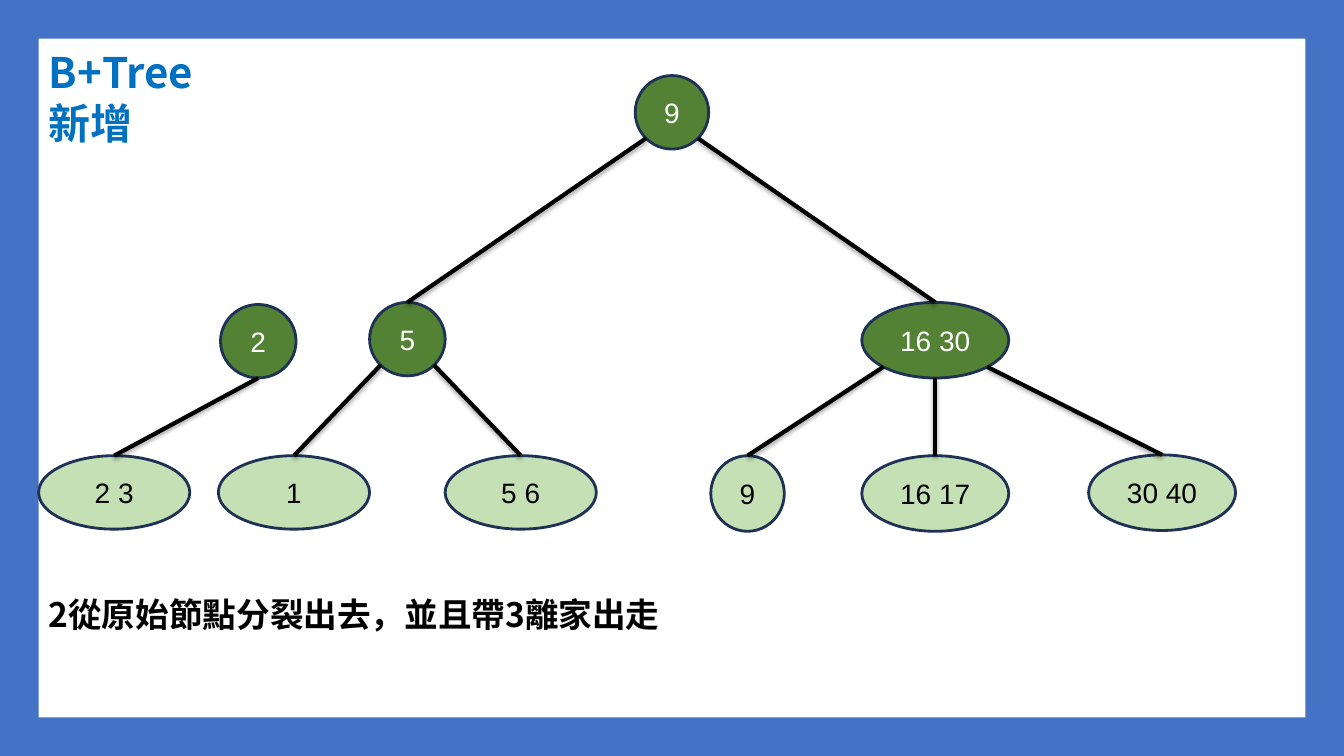
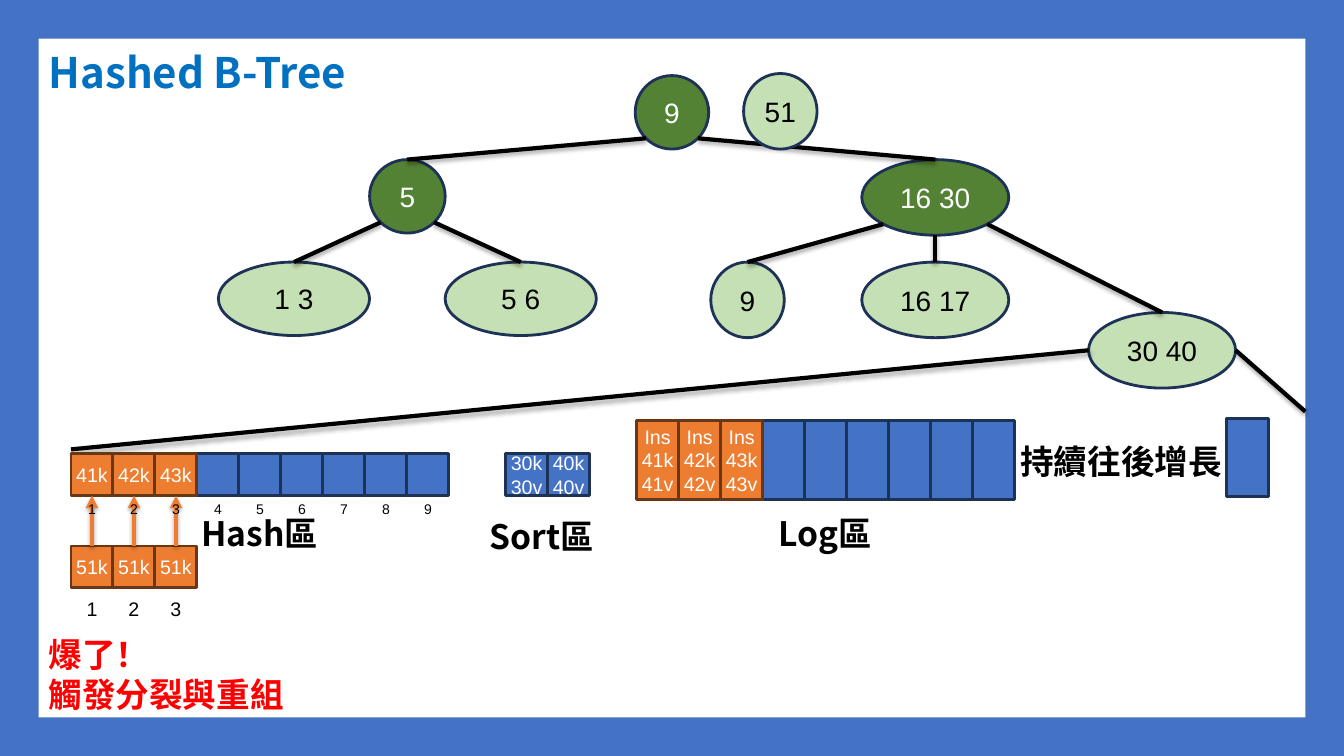
from lxml.etree import SubElement
from pptx import Presentation
from pptx.dml.color import RGBColor
from pptx.enum.shapes import MSO_CONNECTOR as Connector, MSO_SHAPE as Preset
from pptx.enum.text import MSO_ANCHOR as Anchor, MSO_AUTO_SIZE as AutoSize, PP_ALIGN as Align
from pptx.oxml.ns import qn
from pptx.util import Inches, Pt

COLUMNS, ROWS = 32, 18
UNIT = Inches(7.5) // ROWS
BAND = 0.92
DIAGONAL = 0.3536
LATIN_FONT = "Arial"
CHINESE_FONT = "Noto Sans CJK TC"

BLUE = RGBColor(0x44, 0x72, 0xC4)
NAVY = RGBColor(0x1E, 0x32, 0x56)
TITLE_BLUE = RGBColor(0x00, 0x70, 0xC0)
DARK_GREEN = RGBColor(0x54, 0x82, 0x35)
LIGHT_GREEN = RGBColor(0xC5, 0xE0, 0xB4)
ORANGE = RGBColor(0xED, 0x7D, 0x31)
BROWN = RGBColor(0x68, 0x37, 0x15)
RED = RGBColor(0xFF, 0x00, 0x00)
WHITE = RGBColor(0xFF, 0xFF, 0xFF)
BLACK = RGBColor(0x00, 0x00, 0x00)


def grid(*lengths):
    return [round(length * UNIT) for length in lengths]


def write(shape, text, size=20, color=BLACK, font=LATIN_FONT, bold=False,
          align=Align.CENTER, anchor=Anchor.MIDDLE, wrap=False,
          margins=(0, 0), spacing=None):
    frame = shape.text_frame
    frame.auto_size = AutoSize.NONE
    frame.word_wrap = wrap
    frame.vertical_anchor = anchor
    frame.margin_left = frame.margin_right = Inches(margins[0])
    frame.margin_top = Inches(margins[1])
    frame.margin_bottom = 0
    for index, line in enumerate(text.split("\n")):
        paragraph = frame.add_paragraph() if index else frame.paragraphs[0]
        paragraph.alignment = align
        if spacing:
            paragraph.line_spacing = Pt(size * spacing)
        run = paragraph.add_run()
        run.text = line
        run.font.size = Pt(size)
        run.font.bold = bold
        run.font.name = font
        run.font.color.rgb = color
        SubElement(run.font._element, qn("a:ea"), typeface=font)


class Deck:
    def __init__(self):
        self.presentation = Presentation()
        self.presentation.slide_width = COLUMNS * UNIT
        self.presentation.slide_height = ROWS * UNIT
        self.slide = None

    def add_slide(self, title):
        first = self.slide is None
        self.slide = self.presentation.slides.add_slide(self.presentation.slide_layouts[5])
        if first:
            self.frame_master()
        placeholder = self.slide.shapes.title
        lines = title.count("\n") + 1
        placeholder.left, placeholder.top, placeholder.width, placeholder.height = grid(
            BAND, BAND, COLUMNS - 2 * BAND, 0.24 + 1.21 * lines)
        self.heading(placeholder, title, size=30, color=TITLE_BLUE)

    def frame_master(self):
        tree = self.presentation.slide_master.shapes.element
        for box in ((0, 0, COLUMNS, BAND), (0, ROWS - BAND, COLUMNS, BAND),
                    (0, 0, BAND, ROWS), (COLUMNS - BAND, 0, BAND, ROWS)):
            band = self.shape(Preset.RECTANGLE, box, BLUE)
            tree.insert(2, band.element)

    def shape(self, preset, box, fill, line=None):
        shape = self.slide.shapes.add_shape(preset, *grid(*box))
        shape.shadow.inherit = False
        shape.fill.solid()
        shape.fill.fore_color.rgb = fill
        if line is None:
            shape.line.fill.background()
        else:
            shape.line.color.rgb = line
            shape.line.width = Pt(2)
        return shape

    def heading(self, shape, text, size=24, color=BLACK, align=Align.LEFT):
        write(shape, text, size=size, color=color, font=CHINESE_FONT, bold=True, align=align,
              anchor=Anchor.TOP, wrap=True, margins=(0.1, 0.08), spacing=1.2)

    def caption(self, text, box, **style):
        self.heading(self.slide.shapes.add_textbox(*grid(*box)), text, **style)

    def label(self, text, left, top, **style):
        write(self.slide.shapes.add_textbox(*grid(left, top, 1, 1)), text, **style)

    def node(self, text, center, top, width=1.75, height=1.75, inner=False):
        fill, color = (DARK_GREEN, WHITE) if inner else (LIGHT_GREEN, BLACK)
        box = (center - width / 2, top, width, height)
        shape = self.shape(Preset.OVAL, box, fill, NAVY)
        write(shape, text, color=color)
        return shape

    def cell(self, text, left, top, height=1, fill=BLUE):
        line = BROWN if fill == ORANGE else NAVY
        shape = self.shape(Preset.RECTANGLE, (left, top, 1, height), fill, line)
        if text:
            write(shape, text, size=14, color=WHITE)
        return shape

    def cells(self, texts, left, top, height=1, count=9):
        for index in reversed(range(len(texts), count)):
            self.cell("", left + index, top, height)
        return [self.cell(text, left + index, top, height, ORANGE)
                for index, text in enumerate(texts)]

    def line(self, start, end, color=BLACK, arrow=False):
        connector = self.slide.shapes.add_connector(
            Connector.STRAIGHT, *[round(value) for value in (*start, *end)])
        connector.line.color.rgb = color
        connector.line.width = Pt(3)
        if arrow:
            SubElement(connector.line._get_or_add_ln(), qn("a:tailEnd"), type="triangle")
        effects = SubElement(connector.element.spPr, qn("a:effectLst"))
        shadow = SubElement(effects, qn("a:outerShdw"), blurRad="40000", dist="23000",
                            dir="5400000", rotWithShape="0")
        shade = SubElement(shadow, qn("a:srgbClr"), val=str(BLACK))
        SubElement(shade, qn("a:alpha"), val="35000")
        return connector

    def branch(self, parent, child, side=0):
        drop = DIAGONAL if side else 0.5
        start = (parent.left + parent.width * (0.5 + side * DIAGONAL),
                 parent.top + parent.height * (0.5 + drop))
        self.line(start, (child.left, child.top)).end_connect(child, 0)

    def tree(self, first_leaf, branch_top, leaf_top, last_top):
        root = self.node("9", 16, 1.8, inner=True)
        left = self.node("5", 9.7, branch_top, 1.8, inner=True)
        right = self.node("16 30", 22.27, branch_top, 3.5, 1.8, inner=True)
        leaves = [
            self.node(first_leaf, 7, leaf_top, 3.6),
            self.node("5 6", 12.4, leaf_top, 3.6),
            self.node("9", 17.8, leaf_top, height=1.8),
            self.node("16 17", 22.27, leaf_top, 3.5, 1.8),
            self.node("30 40", 27.67, last_top, 3.5, 1.8),
        ]
        parents = (left, left, right, right, right)
        for parent, child, side in ((root, left, -1), (root, right, 1),
                                    *zip(parents, leaves, (-1, 1, -1, 0, 1))):
            self.branch(parent, child, side)
        return leaves[-1]


def build_insertion(deck):
    deck.add_slide("B+Tree\n新增")
    deck.tree("1", 7.2, 10.85, 10.83)
    split_leaf = deck.node("2 3", 2.72, 10.85, 3.6)
    split_parent = deck.node("2", 6.15, 7.25, 1.8, inner=True)
    deck.branch(split_parent, split_leaf)
    deck.caption("2從原始節點分裂出去，並且帶3離家出走", (BAND, 13.95, 30.16, 1.2))


def build_hashed_tree(deck):
    hash_left, hash_top = 1.69, 10.8
    log_left, log_top, log_height = 15.16, 10.02, 1.87
    sort_left = 12.04
    overflow_top = 13

    deck.add_slide("Hashed B-Tree")
    leaf = deck.tree("1 3", 3.8, 6.24, 7.44)
    deck.node("51", 18.58, 1.75, height=1.8)
    middle = leaf.top + leaf.height / 2
    deck.line((leaf.left, middle), grid(hash_left, 10.7))
    deck.line((leaf.left + leaf.width, middle), grid(COLUMNS - BAND, 9.8))

    hash_cells = deck.cells(["41k", "42k", "43k"], hash_left, hash_top)
    for index, text in enumerate(("30k\n30v", "40k\n40v")):
        deck.cell(text, sort_left + index, hash_top)
    deck.cells([f"Ins\n{key}k\n{key}v" for key in (41, 42, 43)],
               log_left, log_top, log_height)
    deck.cell("", 29.2, 9.96, log_height)

    for text, left, top, width in (("Hash區", hash_left, 12.02, 9),
                                   ("Sort區", 11.3, 12.08, 3.2),
                                   ("Log區", log_left, 12.02, 9)):
        deck.caption(text, (left, top, width, 1.2), align=Align.CENTER)
    deck.caption("持續往後增長", (17.95, 10.3, 11.38, 1.2), align=Align.RIGHT)

    for index, target in enumerate(hash_cells):
        left = hash_left + index
        source = deck.cell("51k", left, overflow_top, fill=ORANGE)
        arrow = deck.line(grid(left, overflow_top), grid(left, hash_top), ORANGE, arrow=True)
        arrow.begin_connect(source, 0)
        arrow.end_connect(target, 2)
        deck.label(str(index + 1), left, overflow_top + 1, size=14)

    for index in range(9):
        deck.label(str(index + 1), hash_left + index, hash_top + 1, size=10,
                   anchor=Anchor.TOP, margins=(0, 0.05))
    deck.caption("爆了！\n觸發分裂與重組", (BAND, 14.9, 30.16, 2.18), color=RED)


def main():
    deck = Deck()
    build_insertion(deck)
    build_hashed_tree(deck)
    deck.presentation.save("out.pptx")


if __name__ == "__main__":
    main()
